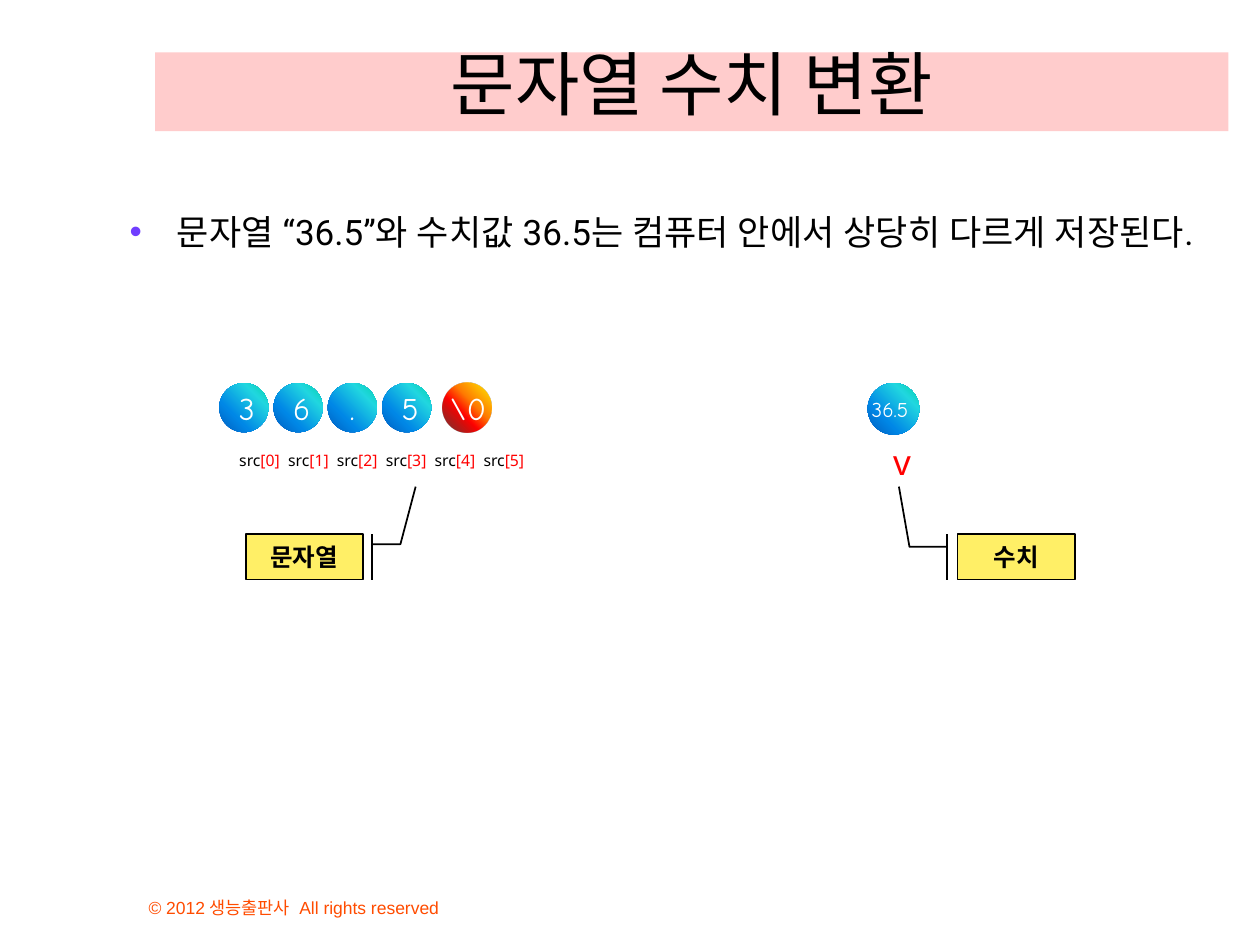
from lxml import etree
from pptx import Presentation
from pptx.dml.color import RGBColor
from pptx.enum import shapes, text
from pptx.oxml import ns
from pptx.util import Pt

BLACK = RGBColor(0x00, 0x00, 0x00)
WHITE = RGBColor(0xFF, 0xFF, 0xFF)
RED = RGBColor(0xFF, 0x00, 0x00)
ORANGE = RGBColor(0xFF, 0x4C, 0x00)
PINK = RGBColor(0xFF, 0xCC, 0xCC)
YELLOW = RGBColor(0xFF, 0xEF, 0x66)
VIOLET = RGBColor(0x70, 0x3D, 0xFF)
# Gradient stops: position in percent, colour, opacity in percent
BLUE_STOPS = [(0, RGBColor(0x03, 0xD4, 0xA8), 100), (25, RGBColor(0x21, 0xD6, 0xE0), 100),
              (68, RGBColor(0x00, 0x87, 0xE6), 100), (100, RGBColor(0x00, 0x5C, 0xBF), 100)]
FIRE_STOPS = [(0, RGBColor(0xFF, 0xF2, 0x00), 100), (40, RGBColor(0xFF, 0x7A, 0x00), 100),
              (60, RGBColor(0xFF, 0x03, 0x00), 100), (100, RGBColor(0x4D, 0x08, 0x08), 80)]
KOREAN, HAND, SANS = "Noto Sans CJK KR", "Comic Neue", "Noto Sans"


def write(box, words, size, face, colour, align=text.PP_ALIGN.LEFT,
          anchor=text.MSO_ANCHOR.TOP, wrap=True, bold=False):
    """Put one paragraph in a box and format its Latin and Korean text."""
    frame = box.text_frame
    frame.word_wrap = wrap
    frame.vertical_anchor = anchor
    frame.text = words
    para = frame.paragraphs[0]
    para.alignment = align
    for span in para.runs:
        span.font.size = Pt(size)
        span.font.name = face
        span.font.bold = bold
        span.font.color.rgb = colour
        east = etree.SubElement(span.font._element, ns.qn("a:ea"))
        east.set("typeface", face)
    return para


def add_ball(left, top, size, stops):
    """Draw a circle with a radial gradient lit from the top right."""
    ball = page.shapes.add_shape(shapes.MSO_SHAPE.OVAL, Pt(left), Pt(top), Pt(size), Pt(size))
    ball.shadow.inherit = False
    ball.line.fill.background()
    grad = etree.Element(ns.qn("a:gradFill"), rotWithShape="0")
    stop_list = etree.SubElement(grad, ns.qn("a:gsLst"))
    for position, colour, opacity in stops:
        stop = etree.SubElement(stop_list, ns.qn("a:gs"), pos=str(position * 1000))
        tint = etree.SubElement(stop, ns.qn("a:srgbClr"), val=str(colour))
        if opacity < 100:
            etree.SubElement(tint, ns.qn("a:alpha"), val=str(opacity * 1000))
    circle = etree.SubElement(grad, ns.qn("a:path"), path="circle")
    etree.SubElement(circle, ns.qn("a:fillToRect"), l="100000", t="0", r="0", b="100000")
    ball._element.spPr.find(ns.qn("a:prstGeom")).addnext(grad)
    return ball


deck = Presentation()
deck.slide_width, deck.slide_height = Pt(720), Pt(540)
page = deck.slides.add_slide(deck.slide_layouts[5])

# Title
title = page.shapes.title
title.left, title.top, title.width, title.height = Pt(88.6), Pt(30), Pt(613.4), Pt(45)
title.fill.solid()
title.fill.fore_color.rgb = PINK
write(title, "문자열 수치 변환", 40, KOREAN, BLACK, text.PP_ALIGN.CENTER, text.MSO_ANCHOR.BOTTOM)
title.text_frame.auto_size = text.MSO_AUTO_SIZE.NONE

# Bulleted statement
body = page.shapes.add_textbox(Pt(67), Pt(116.6), Pt(646.6), Pt(73.4))
para = write(body, "문자열 “36.5”와 수치값 36.5는 컴퓨터 안에서 상당히 다르게 저장된다.",
             20, "Roboto", BLACK)
props = para._p.get_or_add_pPr()
props.set("marL", str(Pt(27)))
props.set("indent", str(Pt(-27)))
bullet_colour = etree.SubElement(props, ns.qn("a:buClr"))
etree.SubElement(bullet_colour, ns.qn("a:srgbClr"), val=str(VIOLET))
etree.SubElement(props, ns.qn("a:buFont"), typeface="Arial")
etree.SubElement(props, ns.qn("a:buChar"), char="•")

# Index labels under the characters, with the subscripts in red
labels = page.shapes.add_textbox(Pt(129.6), Pt(254.2), Pt(198), Pt(18))
labels.text_frame.word_wrap = False
para = labels.text_frame.paragraphs[0]
for index in range(6):
    gap = "  " if index < 5 else ""
    for words, colour in (("src", BLACK), (f"[{index}]{gap}", RED)):
        span = para.add_run()
        span.text = words
        span.font.size = Pt(9)
        span.font.name = SANS
        span.font.color.rgb = colour

# Characters of the string
for index, character in enumerate("36.5"):
    ball = add_ball(125.3 + 31 * index, 218.9, 28.8 - 0.7, BLUE_STOPS)
    write(ball, character, 18, HAND, WHITE, text.PP_ALIGN.CENTER, text.MSO_ANCHOR.MIDDLE)

# Terminator and numeric value
add_ball(252.7, 218.9, 28.1, FIRE_STOPS)
add_ball(495.8, 218.9, 29.5, BLUE_STOPS)
for words, left, top, width, height, size, face, colour in (
        ("\\0", 249.8, 218.9, 36.7, 28.8, 18, HAND, WHITE),
        ("36.5", 491, 223.2, 51.8, 21.6, 12, HAND, WHITE),
        ("v", 503.3, 248.4, 44.6, 31.7, 20, SANS, RED)):
    box = page.shapes.add_textbox(Pt(left), Pt(top), Pt(width), Pt(height))
    write(box, words, size, face, colour, wrap=False)

# Callouts naming the two forms
for words, left, bends in (
        ("문자열", 140.4, (0.22, 1.08, 0.22, 1.32, -1.05, 1.45)),
        ("수치", 547.2, (0.28, -0.09, 0.28, -0.41, -1.05, -0.5))):
    callout = page.shapes.add_shape(shapes.MSO_SHAPE.LINE_CALLOUT_2_BORDER_AND_ACCENT_BAR,
                                    Pt(left), Pt(305.3), Pt(67), Pt(25.9))
    callout.shadow.inherit = False
    for number, bend in enumerate(bends):
        callout.adjustments[number] = bend
    callout.fill.solid()
    callout.fill.fore_color.rgb = YELLOW
    callout.line.color.rgb = BLACK
    callout.line.width = Pt(1)
    write(callout, words, 14, KOREAN, BLACK, text.PP_ALIGN.CENTER,
          text.MSO_ANCHOR.MIDDLE, bold=True)

# Copyright line
footer = page.shapes.add_textbox(Pt(77.8), Pt(498.2), Pt(275.8), Pt(30.2))
write(footer, "© 2012 생능출판사  All rights reserved", 10, "Arial", ORANGE,
      anchor=text.MSO_ANCHOR.BOTTOM)

deck.save("out.pptx")
